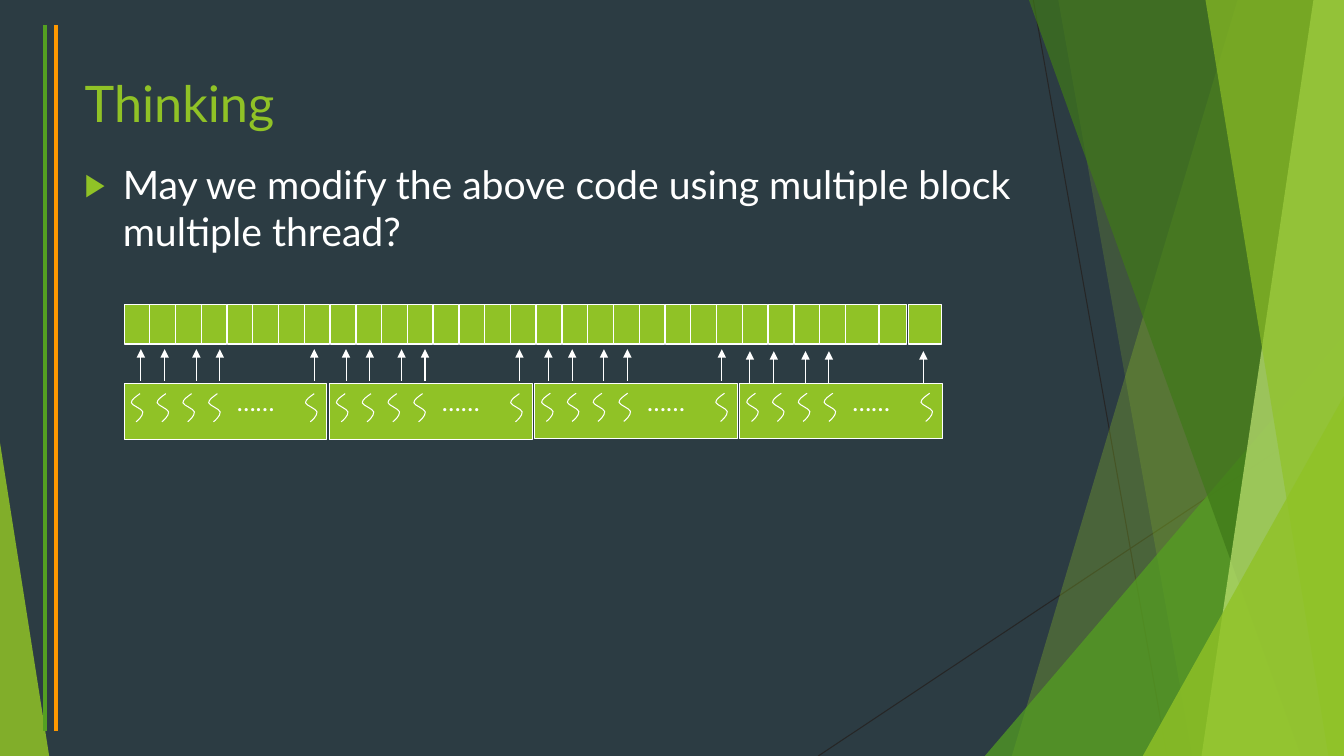
from lxml import etree
from pptx import Presentation
from pptx.dml.color import RGBColor
from pptx.enum.shapes import MSO_CONNECTOR, MSO_SHAPE
from pptx.enum.text import MSO_ANCHOR, MSO_AUTO_SIZE, PP_ALIGN
from pptx.oxml import parse_xml
from pptx.oxml.ns import nsdecls, qn
from pptx.util import Cm, Pt

STRAIGHT = MSO_CONNECTOR.STRAIGHT
RECTANGLE = MSO_SHAPE.RECTANGLE
TRIANGLE = MSO_SHAPE.ISOSCELES_TRIANGLE
TOP = MSO_ANCHOR.TOP
LEFT = PP_ALIGN.LEFT
CENTER = PP_ALIGN.CENTER
NO_AUTOFIT = MSO_AUTO_SIZE.NONE
GROW = MSO_AUTO_SIZE.SHAPE_TO_FIT_TEXT

COLORS = {
    "background": "2C3C43",
    "lime": "90C226",
    "green": "54A021",
    "forest": "3F7819",
    "pale": "C0E474",
    "orange": "FF9900",
    "dark": "262626",
    "white": "FFFFFF",
}
FONT = "Lato"
WIDTH, HEIGHT = 33.87, 19.05

presentation = Presentation()
presentation.slide_width = Cm(WIDTH)
presentation.slide_height = Cm(HEIGHT)
slide = presentation.slides.add_slide(presentation.slide_layouts[1])
shapes = slide.shapes
slide.background.fill.solid()
slide.background.fill.fore_color.rgb = RGBColor.from_string(COLORS["background"])


def style_shape(shape, fill=None, opacity=100, outline=None):
    shape.shadow.inherit = False
    if fill:
        shape.fill.solid()
        shape.fill.fore_color.rgb = RGBColor.from_string(COLORS[fill])
        if opacity < 100:
            color = shape.fill._xPr.find(qn("a:solidFill"))[0]
            etree.SubElement(color, qn("a:alpha"), val=str(opacity * 1000))
    else:
        shape.fill.background()
    if outline:
        shape.line.color.rgb = RGBColor.from_string(COLORS[outline])
        shape.line.width = Pt(0.75)
    else:
        shape.line.fill.background()


def add_line(x1, y1, x2, y2, color, weight=0.75, arrow=False):
    line = shapes.add_connector(STRAIGHT, Cm(x1), Cm(y1), Cm(x2), Cm(y2))
    line.line.color.rgb = RGBColor.from_string(COLORS[color])
    line.line.width = Pt(weight)
    if arrow:
        etree.SubElement(line.line._get_or_add_ln(), qn("a:tailEnd"), type="triangle")
    etree.SubElement(line._element.spPr, qn("a:effectLst"))


add_line(26.04, 0, 29.41, HEIGHT, "dark")
add_line(WIDTH, 10.24, 20.62, HEIGHT, "dark")

facets = [
    (31.19, 0, 25.5, "lime", 30),
    (26.67, 0, 30.05, "lime", 20),
    (WIDTH, 8.46, 24.82, "green", 72),
    (25.93, 0, 32.79, "forest", 70),
    (33.1, 0, 30.28, "pale", 70),
    (30.38, 0, 33.48, "lime", 65),
    (WIDTH, 9.98, 28.8, "lime", 80),
]
for top_x, top_y, bottom_x, color, opacity in facets:
    if top_y:
        facet = shapes.add_shape(
            TRIANGLE, Cm(bottom_x), Cm(top_y), Cm(WIDTH - bottom_x), Cm(HEIGHT - top_y)
        )
        facet.adjustments[0] = 1
    else:
        builder = shapes.build_freeform(Cm(top_x), 0)
        corners = [(WIDTH, 0), (WIDTH, HEIGHT), (bottom_x, HEIGHT)]
        builder.add_line_segments([(Cm(x), Cm(y)) for x, y in corners], close=True)
        facet = builder.convert_to_shape()
    style_shape(facet, color, opacity)

left_facet = shapes.add_shape(TRIANGLE, 0, Cm(11.15), Cm(1.24), Cm(7.9))
left_facet.adjustments[0] = 0
style_shape(left_facet, "lime", 85)

for x, color in [(1.13, "green"), (1.42, "orange")]:
    add_line(x, 0.64, x, 18.42, color, 3)

title, body = slide.placeholders
texts = [
    (title, 1.7, 3.66, "Thinking", 36, "lime"),
    (body, 3.92, 12.85,
     "May we modify the above code using multiple block multiple thread?", 28, "white"),
]
for placeholder, top, height, text, size, color in texts:
    placeholder.left, placeholder.top = Cm(1.88), Cm(top)
    placeholder.width, placeholder.height = Cm(23.88), Cm(height)
    frame = placeholder.text_frame
    frame.word_wrap = True
    frame.auto_size = NO_AUTOFIT
    frame.vertical_anchor = TOP
    paragraph = frame.paragraphs[0]
    paragraph.alignment = LEFT
    paragraph.space_before = Pt(0)
    run = paragraph.add_run()
    run.text = text
    run.font.name = FONT
    run.font.size = Pt(size)
    run.font.color.rgb = RGBColor.from_string(COLORS[color])

properties = body.text_frame.paragraphs[0]._p.get_or_add_pPr()
properties.set("marL", str(Cm(0.96)))
properties.set("indent", str(Cm(-0.96)))
for bullet in [
    f'<a:buClr {nsdecls("a")}><a:srgbClr val="{COLORS["lime"]}"/></a:buClr>',
    f'<a:buSzPct {nsdecls("a")} val="80000"/>',
    f'<a:buFont {nsdecls("a")} typeface="Arial"/>',
    f'<a:buChar {nsdecls("a")} char="▶"/>',
]:
    properties.append(parse_xml(bullet))

first_cell, last_cell = 3.13, 20.66
cell_pitch = (last_cell - first_cell) / 27
cells = [(first_cell + cell_pitch * index, 0.64) for index in range(28)]
cells += [(21.31, 0.82), (22.17, 0.68), (22.89, 0.84)]
for left, width in cells:
    cell = shapes.add_shape(RECTANGLE, Cm(left), Cm(7.67), Cm(width), Cm(1))
    style_shape(cell, "lime", outline="white")

thread_points = [
    (0.11, 0.08), (0, 0.15), (0, 0.23),
    (0.02, 0.3), (0.27, 0.38), (0.29, 0.46),
    (0.3, 0.56), (0.15, 0.69), (0.12, 0.71),
]
thread_offsets = [0.18, 0.83, 1.48, 2.13, 4.57]
arrow_offsets = [0, 0.6, 1.4, 1.99, 4.37]
blocks = [
    (9.67, 3.55, 9.6),
    (9.67, 8.72, 9.6),
    (9.66, 13.82, 9.6),
    (9.66, 18.9, 9.65),
]
for index, (top, arrow_left, arrow_bottom) in enumerate(blocks):
    left = 3.13 + 5.17 * index
    block = shapes.add_shape(RECTANGLE, Cm(left), Cm(top), Cm(5.11), Cm(1.4))
    style_shape(block, "lime", outline="white")

    for offset in thread_offsets:
        x, y = left + offset, top + 0.25
        builder = shapes.build_freeform(Cm(x + 0.22), Cm(y))
        builder.add_line_segments(
            [(Cm(x + dx), Cm(y + dy)) for dx, dy in thread_points], close=False
        )
        thread = builder.convert_to_shape()
        outline = next(thread._element.iter(qn("a:path")))
        segments = outline.findall(qn("a:lnTo"))
        for start in range(0, len(segments), 3):
            curve = etree.SubElement(outline, qn("a:cubicBezTo"))
            for segment in segments[start:start + 3]:
                curve.append(segment[0])
                outline.remove(segment)
        style_shape(thread, outline="white")

    dots = shapes.add_textbox(Cm(left + 2.59), Cm(top - 0.05), Cm(1.45), Cm(1.02))
    frame = dots.text_frame
    frame.margin_left = frame.margin_right = 0
    frame.word_wrap = False
    frame.auto_size = GROW
    paragraph = frame.paragraphs[0]
    paragraph.alignment = CENTER
    run = paragraph.add_run()
    run.text = "……"
    run.font.name = FONT
    run.font.size = Pt(18)
    run.font.color.rgb = RGBColor.from_string(COLORS["white"])

    for offset in arrow_offsets:
        x = arrow_left + offset
        add_line(x, arrow_bottom, x, arrow_bottom - 0.8, "white", arrow=True)

presentation.save("out.pptx")
